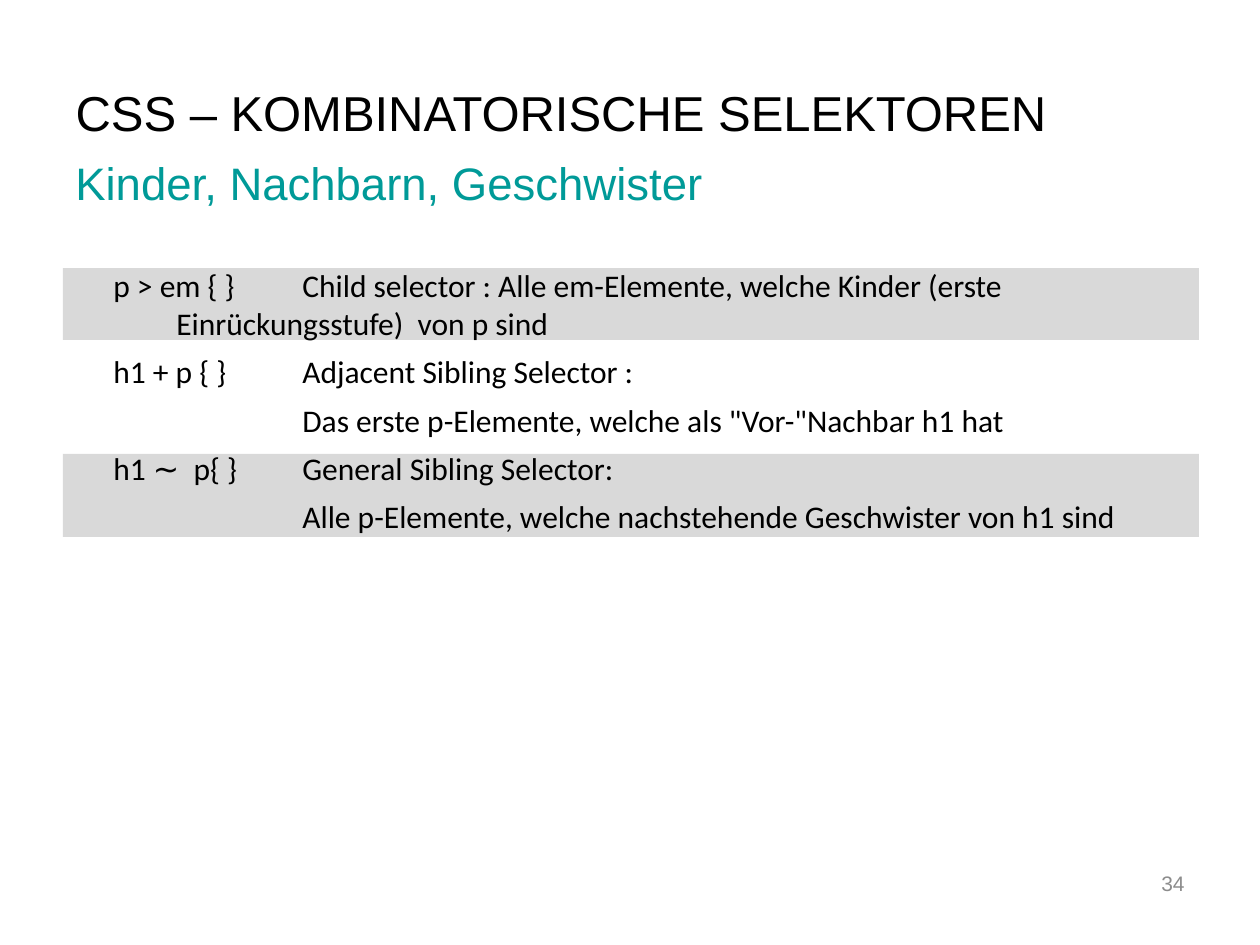
"""Build the slide on CSS combinator selectors."""
from lxml import etree
from pptx import Presentation
from pptx.dml.color import RGBColor
from pptx.enum.shapes import MSO_SHAPE
from pptx.enum.text import MSO_ANCHOR, PP_ALIGN
from pptx.oxml.ns import qn
from pptx.util import Emu, Pt

RECT = MSO_SHAPE.RECTANGLE
TOP, MIDDLE = MSO_ANCHOR.TOP, MSO_ANCHOR.MIDDLE
LEFT, RIGHT = PP_ALIGN.LEFT, PP_ALIGN.RIGHT
COLORS = {"band": "D9D9D9", "text": "000000", "accent": "009A98", "number": "8C8C8C"}


def px(n):
    return Emu(round(n * 914400 / 126))


def add_run(p, text, size, font, color):
    r = p.add_run()
    r.text = text
    r.font.size = Pt(size)
    r.font.name = font
    r.font.color.rgb = RGBColor.from_string(COLORS[color])


prs = Presentation()
prs.slide_width, prs.slide_height = px(1260), px(945)
s = prs.slides.add_slide(prs.slide_layouts[5])

for y, h in [(268, 72), (454, 83)]:
    band = s.shapes.add_shape(RECT, px(63), px(y), px(1136), px(h))
    band.shadow.inherit = False
    band.fill.solid()
    band.fill.fore_color.rgb = RGBColor.from_string(COLORS["band"])
    band.line.fill.background()

title = s.shapes.title
title.left, title.top, title.width, title.height = px(63), px(71), px(1028), px(72)
subtitle = s.shapes.add_textbox(px(63), px(145), px(1197), px(68))
number = s.shapes.add_textbox(px(1113), px(858), px(84), px(50))
for sp, text, size, color, align, anchor, inset in [
    (title, "CSS – KOMBINATORISCHE SELEKTOREN", 28, "text", LEFT, TOP, 11),
    (subtitle, "Kinder, Nachbarn, Geschwister", 26, "accent", LEFT, TOP, 10),
    (number, "34", 12, "number", RIGHT, MIDDLE, 6),
]:
    tf = sp.text_frame
    tf.word_wrap = True
    tf.vertical_anchor = anchor
    tf.margin_top = px(inset)
    p = tf.paragraphs[0]
    p.alignment = align
    add_run(p, text, size, "Arial", color)

ROWS = [
    ["p > em { }\tChild selector : Alle em-Elemente, welche Kinder (erste",
     "\tEinrückungsstufe)  von p sind"],
    ["h1 + p { }\tAdjacent Sibling Selector :"],
    ["\t\tDas erste p-Elemente, welche als \"Vor-\"Nachbar h1 hat"],
    ["h1 ∼  p{ }\tGeneral Sibling Selector:"],
    ["\t\tAlle p-Elemente, welche nachstehende Geschwister von h1 sind"],
]
tf = s.shapes.add_textbox(px(101), px(260), px(1111), px(333)).text_frame
tf.word_wrap = True
for i, lines in enumerate(ROWS):
    p = tf.add_paragraph() if i else tf.paragraphs[0]
    p.space_after = Pt(6)
    tabs = etree.SubElement(p._p.get_or_add_pPr(), qn("a:tabLst"))
    for stop in (63, 189):
        etree.SubElement(tabs, qn("a:tab"), pos=str(px(stop)), algn="l")
    for j, line in enumerate(lines):
        if j:
            p.add_line_break()
        add_run(p, line, 18, "Calibri", "text")

prs.save("out.pptx")
